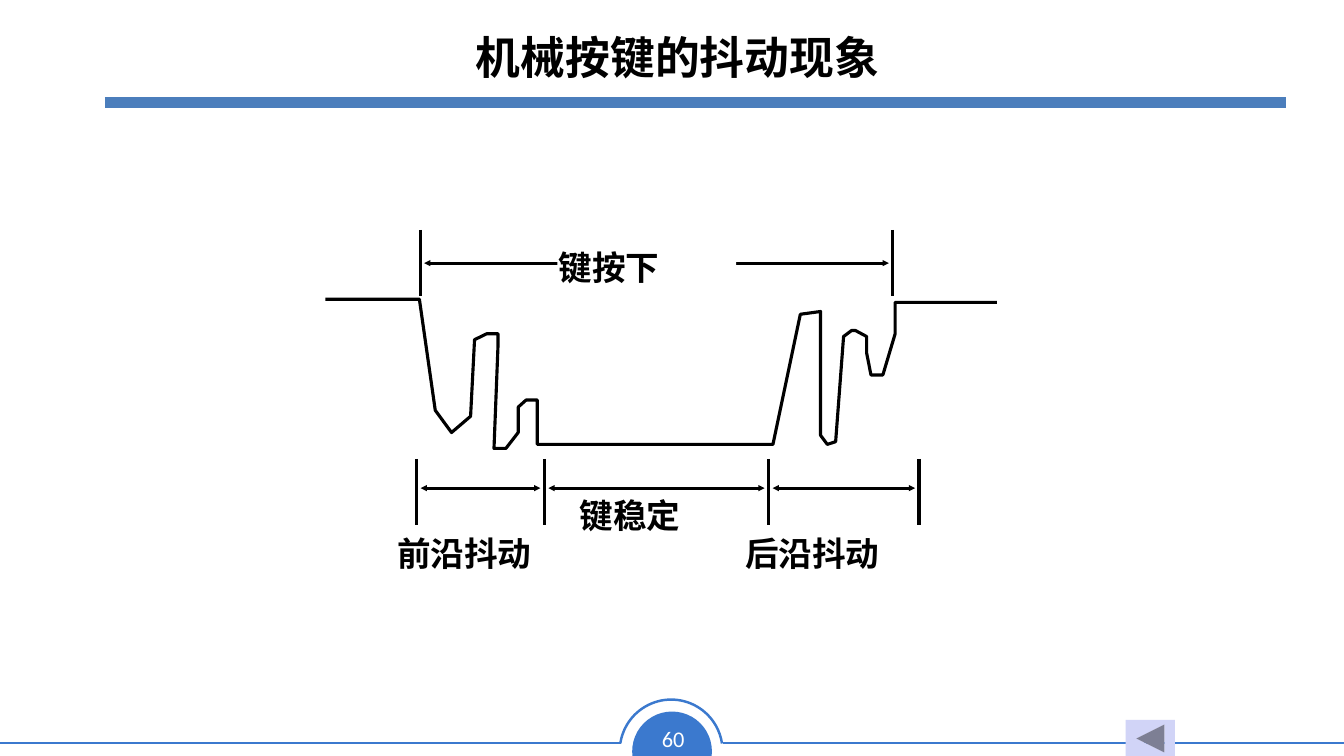
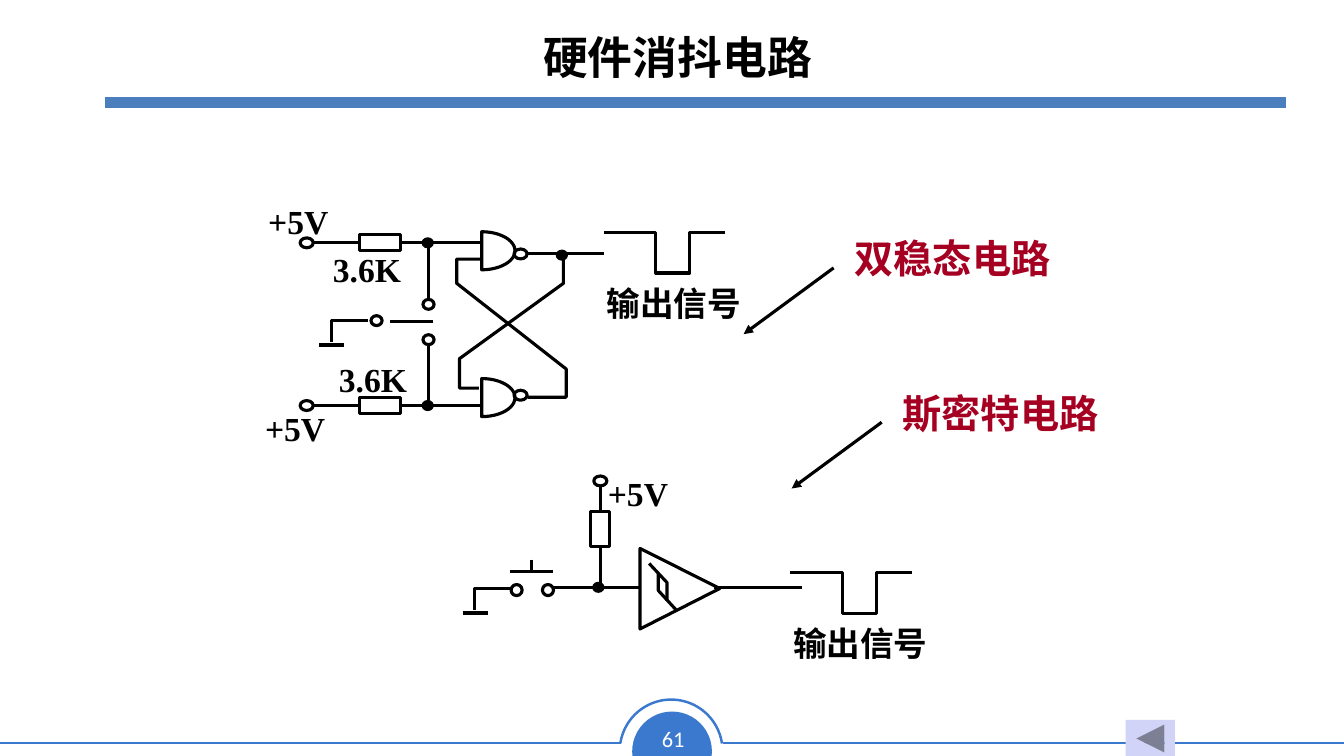
from math import copysign, cos, pi, sin

from lxml import etree
from pptx import Presentation
from pptx.dml.color import RGBColor
from pptx.enum.shapes import MSO_CONNECTOR, MSO_SHAPE
from pptx.enum.text import MSO_ANCHOR, PP_ALIGN
from pptx.oxml.ns import qn
from pptx.util import Cm, Pt

STRAIGHT = MSO_CONNECTOR.STRAIGHT
RECT, OVAL = MSO_SHAPE.RECTANGLE, MSO_SHAPE.OVAL
CHORD, ARC = MSO_SHAPE.CHORD, MSO_SHAPE.ARC
BACK_BUTTON = MSO_SHAPE.ACTION_BUTTON_BACK_OR_PREVIOUS
LEFT, CENTER = PP_ALIGN.LEFT, PP_ALIGN.CENTER
TOP, MIDDLE = MSO_ANCHOR.TOP, MSO_ANCHOR.MIDDLE

SLIDE_W, SLIDE_H = 33.87, 19.05
BLACK, WHITE, RED = "000000", "FFFFFF", "A50021"
BAND, FOOTER, BUTTON = "4B7EBC", "3B79CE", "D1D4F7"
CJK, SERIF, NUMBER_FONT, CALLOUT_FONT = "Noto Sans CJK SC", "Times New Roman", "Calibri", "Cabin"
STROKE = 2.25

BOUNCE = [
    (8.2, 7.54), (10.57, 7.54), (10.97, 10.34), (11.38, 10.9), (11.86, 10.49),
    (11.96, 8.56), (12.27, 8.41), (12.55, 8.41), (12.55, 8.74), (12.45, 11.3),
    (12.75, 11.3), (13.06, 10.9), (13.06, 10.26), (13.26, 10.08), (13.54, 10.08),
    (13.54, 11.2), (19.48, 11.2), (20.17, 7.92), (20.68, 7.85), (20.68, 10.97),
    (20.85, 11.2), (21.06, 11.13), (21.26, 8.48), (21.46, 8.33), (21.56, 8.33),
    (21.84, 8.48), (21.84, 8.89), (21.95, 9.45), (22.25, 9.45), (22.56, 8.41),
    (22.56, 7.62), (25.12, 7.62),
]


def rgb(color):
    return RGBColor.from_string(color)


def paint(sp, fill=None, line=None, width=STROKE):
    sp.shadow.inherit = False
    if fill:
        sp.fill.solid()
        sp.fill.fore_color.rgb = rgb(fill)
    else:
        sp.fill.background()
    if line:
        sp.line.color.rgb = rgb(line)
        sp.line.width = Pt(width)
    else:
        sp.line.fill.background()
    return sp


def add_preset(slide, kind, x, y, w, h, **style):
    sp = slide.shapes.add_shape(kind, Cm(x), Cm(y), Cm(w), Cm(h))
    return paint(sp, **style)


def add_oval(slide, cx, cy, w=0.28, h=0.25, fill=None):
    return add_preset(slide, OVAL, cx - w / 2, cy - h / 2, w, h, fill=fill, line=BLACK)


def add_node(slide, cx, cy):
    add_oval(slide, cx, cy, 0.23, 0.2, BLACK)


def add_terminal(slide, cx, cy):
    add_oval(slide, cx, cy, 0.33, 0.25)


def add_resistor(slide, x, y, w, h):
    add_preset(slide, RECT, x, y, w, h, line=BLACK)


def add_line(slide, x1, y1, x2, y2, color=BLACK, width=STROKE, ends=(), size="med"):
    line = slide.shapes.add_connector(STRAIGHT, Cm(x1), Cm(y1), Cm(x2), Cm(y2))
    line.line.color.rgb = rgb(color)
    line.line.width = Pt(width)
    ln = line.line._get_or_add_ln()
    for end in ends:
        etree.SubElement(ln, qn(f"a:{end}"), type="triangle", w=size, len=size)
    etree.SubElement(line._element.spPr, qn("a:effectLst"))


def add_path(slide, points, close=False):
    (x, y), *rest = [(Cm(px), Cm(py)) for px, py in points]
    builder = slide.shapes.build_freeform(x, y)
    builder.add_line_segments(rest, close=close)
    paint(builder.convert_to_shape(), line=BLACK)


def add_text(slide, text, x, y, w, h, size, font, color=BLACK, bold=True,
             align=LEFT, anchor=TOP, wrap=True, margin=None, fill=None):
    sp = slide.shapes.add_textbox(Cm(x), Cm(y), Cm(w), Cm(h))
    if fill:
        sp.fill.solid()
        sp.fill.fore_color.rgb = rgb(fill)
    tf = sp.text_frame
    tf.word_wrap = wrap
    tf.vertical_anchor = anchor
    if margin is not None:
        tf.margin_left = tf.margin_right = tf.margin_top = tf.margin_bottom = Cm(margin)
    tf.text = text
    p = tf.paragraphs[0]
    p.alignment = align
    r = p.runs[0]
    r.font.size = Pt(size)
    r.font.bold = bold
    r.font.name = font
    r.font.color.rgb = rgb(color)
    etree.SubElement(r._r.get_or_add_rPr(), qn("a:ea"), typeface=CJK)


def add_label(slide, text, x, y, fill=None):
    add_text(slide, text, x, y, 4.5, 1.09, 24, SERIF, margin=0.03, fill=fill)


def add_callout(slide, text, x, y):
    add_text(slide, text, x, y, 5.46, 1.45, 28, CALLOUT_FONT, RED, wrap=False)
    tail_x, tail_y = x - 0.28, y + 0.96
    add_line(slide, tail_x, tail_y, tail_x - 2.27, tail_y + 1.67, ends=["tailEnd"])


def add_base(prs, title, number):
    slide = prs.slides.add_slide(prs.slide_layouts[6])
    chord = add_preset(slide, CHORD, 15.93, 17.93, 2.01, 2.01, fill=FOOTER)
    chord.rotation = 112.4
    chord.adjustments[0], chord.adjustments[1] = 35.77, 153.29
    for x1, x2 in ((0, 15.65), (18.21, SLIDE_W)):
        add_line(slide, x1, 18.72, x2, 18.72, FOOTER, 1.77)
    arc = add_preset(slide, ARC, 15.62, 17.63, 2.59, 2.59, line=FOOTER, width=1.77)
    arc.adjustments[0], arc.adjustments[1] = 113.17, 210.98
    add_text(slide, str(number), 16.38, 18.14, 1.17, 0.94, 16, NUMBER_FONT, WHITE,
             bold=False, align=CENTER, wrap=False)
    add_line(slide, 2.64, 2.59, 32.41, 2.59, BAND, 8)
    add_text(slide, title, 2.64, 0.25, 28.88, 2.34, 32, CJK, align=CENTER, anchor=MIDDLE)
    add_preset(slide, BACK_BUTTON, 28.37, 18.14, 1.24, 0.94, fill=BUTTON)
    return slide


def add_spans(slide, ticks, top, arrow_y):
    for x in ticks:
        add_line(slide, x, top, x, top + 1.66)
    for x1, x2 in zip(ticks, ticks[1:]):
        add_line(slide, x1 + 0.1, arrow_y, x2 - 0.1, arrow_y,
                 ends=["headEnd", "tailEnd"], size="sm")


def add_gate(slide, x, cy, bubble_y):
    steps = 24
    angles = [pi * i / steps - pi / 2 for i in range(steps + 1)]
    add_path(slide, [(x + 0.84 * cos(a), cy + 0.48 * sin(a)) for a in angles], close=True)
    add_terminal(slide, x + 0.98, bubble_y)


def add_input_branch(slide, wire_y, contact_y, gate_y, bubble_y):
    add_terminal(slide, 7.73, wire_y)
    add_line(slide, 7.9, wire_y, 9.07, wire_y)
    add_resistor(slide, 9.07, wire_y - 0.2, 1.02, 0.4)
    add_line(slide, 10.09, wire_y, 12.14, wire_y)
    add_node(slide, 10.78, wire_y)
    add_line(slide, 10.8, wire_y, 10.8, contact_y + copysign(0.13, wire_y - contact_y))
    add_oval(slide, 10.8, contact_y)
    add_gate(slide, 12.14, gate_y, bubble_y)


def add_ground(slide, x, y):
    left = x - 0.92
    add_path(slide, [(x, y), (left, y), (left, y + 0.55)])
    add_line(slide, left - 0.3, y + 0.62, left + 0.33, y + 0.62, width=3)


def add_output(slide, x, y):
    low = y + 1.03
    add_path(slide, [(x, y), (x + 1.32, y), (x + 1.32, low),
                     (x + 2.17, low), (x + 2.17, y), (x + 3.07, y)])
    add_label(slide, "输出信号", x + 0.05, y + 1.24)


def add_latch(slide):
    add_input_branch(slide, 6.12, 7.67, 6.32, 6.4)
    add_input_branch(slide, 10.22, 8.56, 10.02, 9.96)
    add_line(slide, 13.28, 6.38, 15.21, 6.38)
    add_node(slide, 14.16, 6.43)
    add_path(slide, [(12.14, 6.53), (11.51, 6.53), (11.51, 7.14),
                     (14.27, 9.3), (14.27, 10.01), (13.31, 10.01)])
    add_path(slide, [(12.07, 9.78), (11.58, 9.78), (11.58, 9.04),
                     (14.2, 7.14), (14.2, 6.38)])
    add_line(slide, 10.92, 8.1, 9.83, 8.1)
    add_oval(slide, 9.49, 8.08)
    add_ground(slide, 9.27, 8.08)
    for text, x, y in (("+5V", 6.73, 5.03), ("3.6K", 8.36, 6.25),
                       ("3.6K", 8.51, 9.02), ("+5V", 6.65, 10.26)):
        add_label(slide, text, x, y)
    add_output(slide, 15.21, 5.85)


def add_schmitt(slide):
    add_terminal(slide, 15.13, 12.12)
    add_label(slide, "+5V", 15.29, 11.89)
    add_line(slide, 15.13, 12.24, 15.13, 12.88)
    add_resistor(slide, 14.88, 12.88, 0.48, 0.89)
    add_line(slide, 15.13, 13.77, 15.13, 14.8)
    add_node(slide, 15.08, 14.8)
    add_line(slide, 13.9, 14.8, 16.13, 14.8)
    for x in (13.02, 13.81):
        add_oval(slide, x, 14.87, 0.28, 0.28)
    add_line(slide, 12.85, 14.4, 13.94, 14.4)
    add_line(slide, 13.4, 14.1, 13.4, 14.4)
    add_ground(slide, 12.88, 14.83)
    add_path(slide, [(16.13, 13.82), (18.14, 14.83), (16.13, 15.85)], close=True)
    add_path(slide, [(16.36, 14.2), (16.81, 14.68), (16.81, 15.14)])
    add_path(slide, [(17.04, 15.37), (16.59, 14.88), (16.59, 14.45)])
    add_line(slide, 18.0, 14.8, 20.22, 14.8)
    add_output(slide, 19.91, 14.43)


def build_bounce_slide(prs):
    slide = add_base(prs, "机械按键的抖动现象", 60)
    add_path(slide, BOUNCE)
    add_spans(slide, [10.59, 22.5], 5.79, 6.63)
    add_spans(slide, [10.5, 13.72, 19.37, 23.16], 11.56, 12.3)
    add_label(slide, "键按下", 14.05, 6.2, fill=WHITE)
    add_label(slide, "键稳定", 14.58, 12.45)
    add_label(slide, "前沿抖动", 9.98, 13.39)
    add_label(slide, "后沿抖动", 18.75, 13.39)


def build_circuit_slide(prs):
    slide = add_base(prs, "硬件消抖电路", 61)
    add_latch(slide)
    add_schmitt(slide)
    add_callout(slide, "双稳态电路", 21.29, 5.79)
    add_callout(slide, "斯密特电路", 22.5, 9.68)


def main():
    prs = Presentation()
    prs.slide_width, prs.slide_height = Cm(SLIDE_W), Cm(SLIDE_H)
    build_bounce_slide(prs)
    build_circuit_slide(prs)
    prs.save("out.pptx")


if __name__ == "__main__":
    main()
